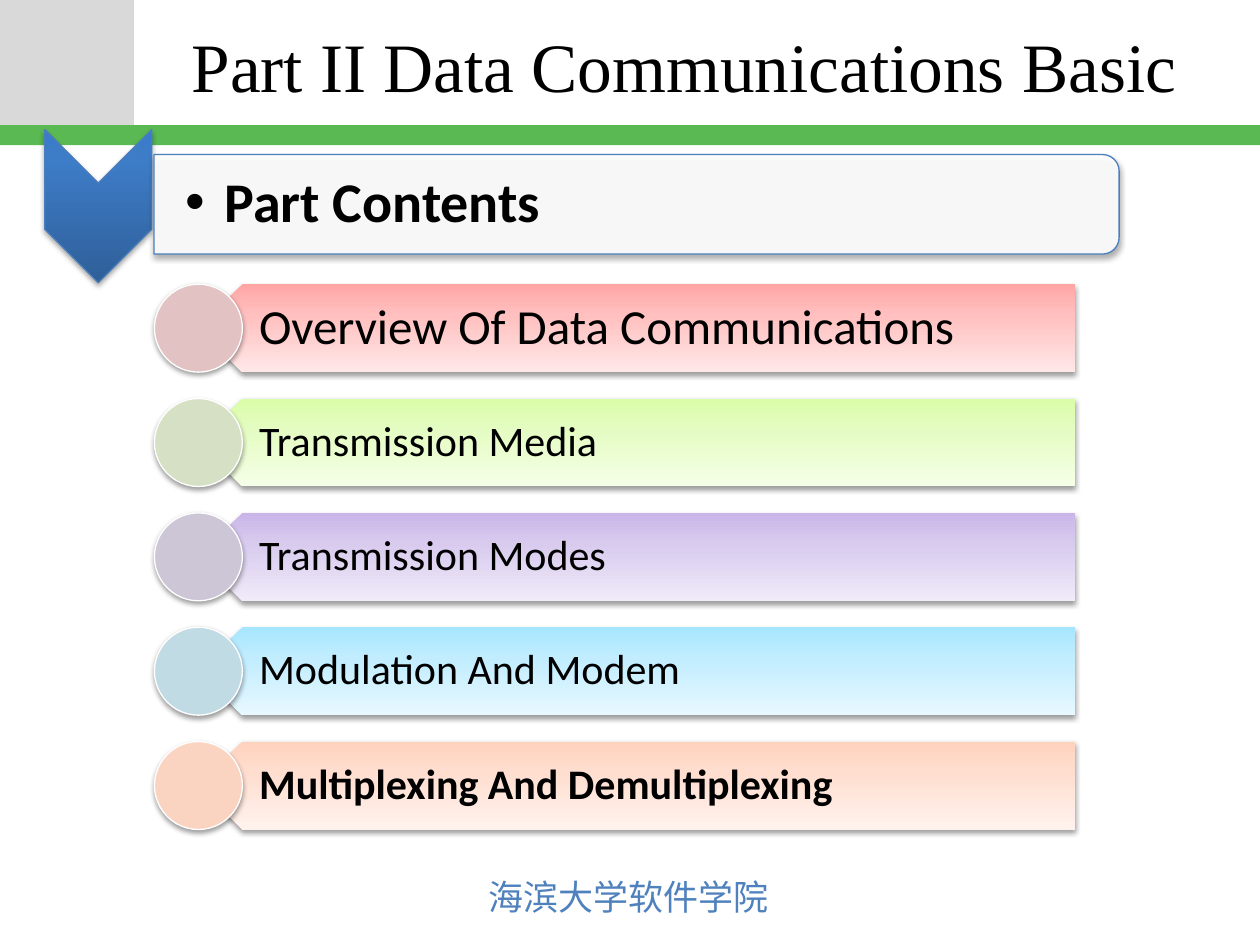
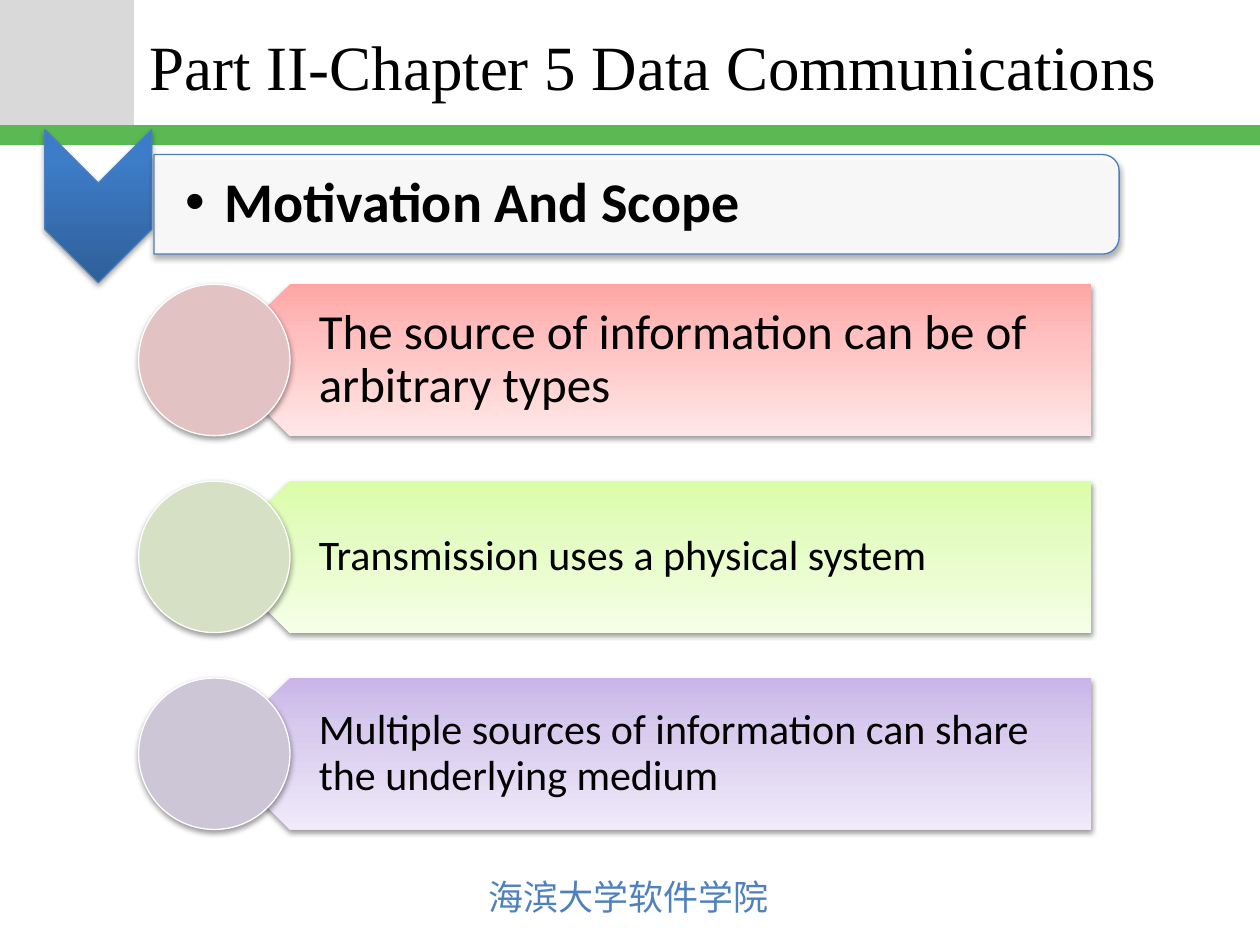
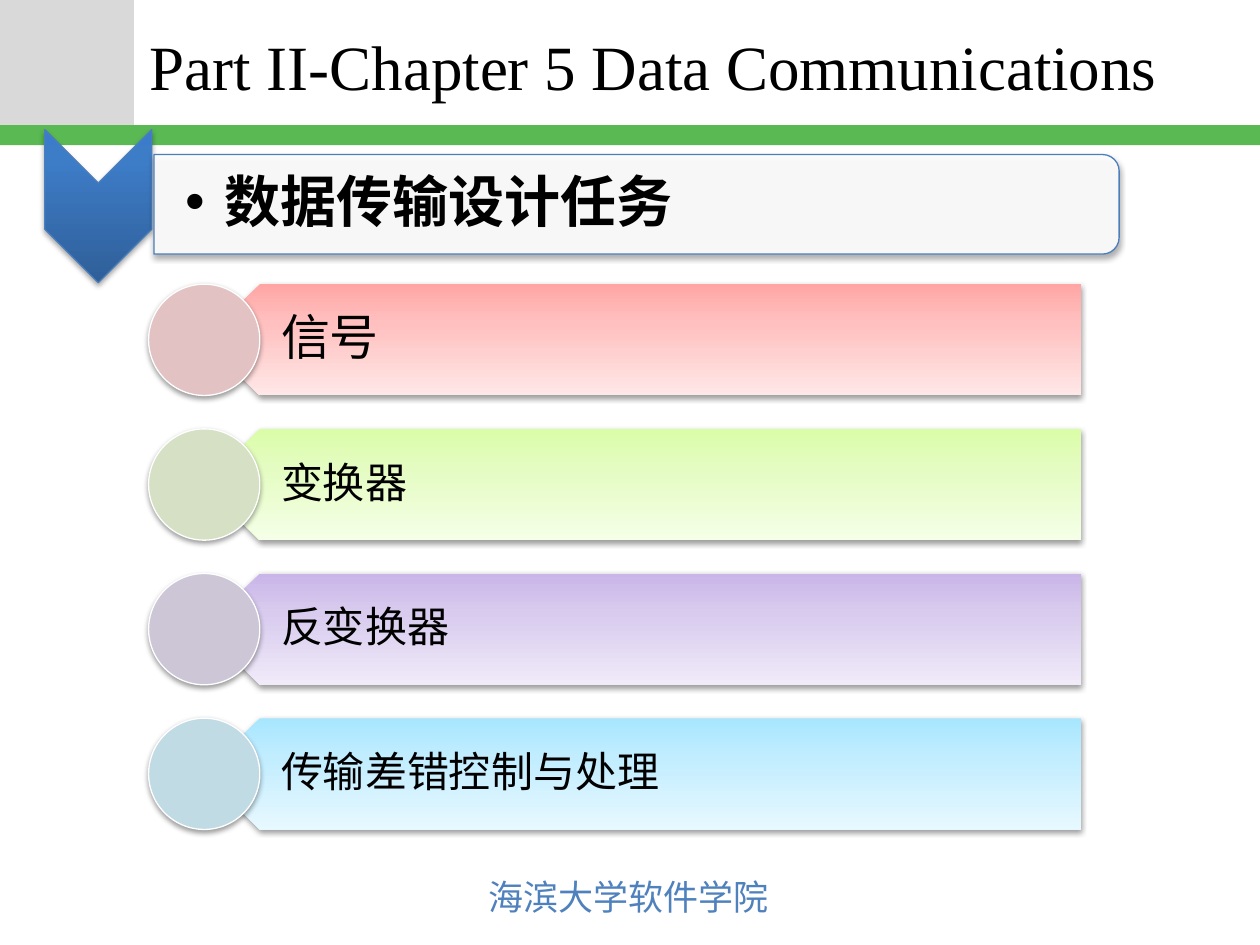
from typing import NamedTuple

from pptx import Presentation
from pptx.dml.color import RGBColor
from pptx.enum.shapes import MSO_SHAPE
from pptx.enum.text import MSO_ANCHOR, PP_ALIGN
from pptx.oxml import parse_xml
from pptx.oxml.ns import nsdecls, qn
from pptx.shapes.autoshape import Shape
from pptx.slide import Slide
from pptx.util import Pt

BLACK = RGBColor(0x00, 0x00, 0x00)
WHITE = RGBColor(0xFF, 0xFF, 0xFF)
GREY = RGBColor(0xD9, 0xD9, 0xD9)
GREEN = RGBColor(0x5A, 0xB9, 0x53)
BLUE = RGBColor(0x4F, 0x81, 0xBD)
EDGE = RGBColor(0x4B, 0x7E, 0xBC)

SERIF = "Times New Roman"
SANS = "Calibri"
ASIAN = "Noto Sans CJK JP"
FOOTER = "海滨大学软件学院"

TOP, BOTTOM, MIDDLE = 162.4, 474, 351.3
BAR, GAP = 501, 0.3


class Box(NamedTuple):
    """A frame in points."""
    left: float
    top: float
    width: float
    height: float


class Font(NamedTuple):
    """The look of a text."""
    name: str
    size: float
    color: RGBColor = BLACK
    bold: bool = False


class Stop(NamedTuple):
    """A gradient stop in percent."""
    place: int
    color: RGBColor


class Hue(NamedTuple):
    """The colours of one row."""
    disc: RGBColor
    dark: RGBColor
    mid: RGBColor
    light: RGBColor


class Row(NamedTuple):
    """One line of content."""
    text: str
    bold: bool = False


class Title(NamedTuple):
    """The heading of a slide."""
    text: str
    box: Box
    size: float
    align: PP_ALIGN


class Page(NamedTuple):
    """The content of a slide."""
    title: Title
    topic: str
    rows: list[Row]


HUES = [
    Hue(*map(RGBColor.from_string, codes.split()))
    for codes in (
        "E2C2C2 FFA6A5 FFC0BF FFE7E7",
        "D5E0C4 DAFDA7 E4FCC2 F5FFE7",
        "CDC6D7 C9B5E8 D8CBEE F0EAF9",
        "C1DBE5 A7E6FF C1EDFF E7F8FF",
        "FBD3C1 FFD2BD FFDED0 FFF2ED",
    )
]
ARROW = [
    Stop(0, RGBColor(0x2F, 0x5F, 0x99)),
    Stop(80, RGBColor(0x3D, 0x7C, 0xC7)),
    Stop(100, RGBColor(0x3A, 0x7C, 0xCB)),
]

PART = Title("Part II Data Communications Basic ",
             Box(86.4, 1.5, 619.2, 70.5), 39.6, PP_ALIGN.CENTER)
CHAPTER = Title("Part II-Chapter 5 Data Communications",
                Box(78.5, 2, 648, 70.5), 36, PP_ALIGN.LEFT)

PAGES = [
    Page(PART, "Part Contents", [
        Row("Overview Of Data Communications"),
        Row("Transmission Media"),
        Row("Transmission Modes"),
        Row("Modulation And Modem"),
        Row("Multiplexing And Demultiplexing", True),
    ]),
    Page(CHAPTER, "Motivation And Scope", [
        Row("The source of information can be of arbitrary types"),
        Row("Transmission uses a physical system"),
        Row("Multiple sources of information can share the underlying medium"),
    ]),
    Page(CHAPTER, "数据传输设计任务", [
        Row("信号"),
        Row("变换器"),
        Row("反变换器"),
        Row("传输差错控制与处理"),
    ]),
]


def add_form(slide: Slide, kind: MSO_SHAPE, box: Box, fill: RGBColor | None = None,
             line: RGBColor | None = None, turn: float = 0) -> Shape:
    """Add a preset shape without shadow."""
    shape = slide.shapes.add_shape(kind, *map(Pt, box))
    shape.rotation = turn
    shape.shadow.inherit = False
    if fill is not None:
        shape.fill.solid()
        shape.fill.fore_color.rgb = fill
    if line is None:
        shape.line.fill.background()
    else:
        shape.line.color.rgb = line
        shape.line.width = Pt(0.75)
    return shape


def add_shade(shape: Shape, alpha: int, drop: float) -> None:
    """Give a shape a soft shadow below it."""
    shape._element.spPr.find(qn("a:effectLst")).append(parse_xml(
        f'<a:outerShdw {nsdecls("a")} blurRad="{Pt(3.15)}" dist="{Pt(drop)}" '
        f'dir="5400000" rotWithShape="0"><a:srgbClr val="{BLACK}">'
        f'<a:alpha val="{alpha * 1000}"/></a:srgbClr></a:outerShdw>'))


def set_blend(shape: Shape, stops: list[Stop], spin: bool) -> None:
    """Fill a shape with an upward gradient."""
    shape.fill.gradient()
    marks = "".join(
        f'<a:gs pos="{stop.place * 1000}"><a:srgbClr val="{stop.color}"/></a:gs>'
        for stop in stops)
    props = shape._element.spPr
    props.replace(props.find(qn("a:gradFill")), parse_xml(
        f'<a:gradFill {nsdecls("a")} rotWithShape="{int(spin)}">'
        f'<a:gsLst>{marks}</a:gsLst><a:lin ang="16200000" scaled="0"/></a:gradFill>'))


def add_text(slide: Slide, text: str, box: Box, font: Font,
             inset: Box = Box(7.2, 3.6, 7.2, 3.6), wrap: bool = True) -> Shape:
    """Add a text box; the inset runs left, top, right, bottom."""
    shape = slide.shapes.add_textbox(*map(Pt, box))
    frame = shape.text_frame
    frame.word_wrap = wrap
    frame.vertical_anchor = MSO_ANCHOR.MIDDLE
    (frame.margin_left, frame.margin_top,
     frame.margin_right, frame.margin_bottom) = map(Pt, inset)
    frame.text = text
    run = frame.paragraphs[0].runs[0]
    run.font.name = font.name
    run.font.size = Pt(font.size)
    run.font.bold = font.bold
    run.font.color.rgb = font.color
    run._r.get_or_add_rPr().append(
        parse_xml(f'<a:ea {nsdecls("a")} typeface="{ASIAN}"/>'))
    return shape


def add_frame(slide: Slide, title: Title) -> None:
    """Draw the bands, the footer and the title."""
    add_form(slide, MSO_SHAPE.RECTANGLE, Box(0, 0, 76.5, 71.5), GREY)
    add_form(slide, MSO_SHAPE.RECTANGLE, Box(0, 71.5, 720, 11.5), GREEN)
    add_text(slide, FOOTER, Box(272, 496.8, 176.4, 31.5),
             Font(ASIAN, 20, BLUE), wrap=False)
    head = add_text(slide, title.text, title.box, Font(SERIF, title.size))
    head.text_frame.paragraphs[0].alignment = title.align


def add_topic(slide: Slide, text: str) -> None:
    """Draw the arrow and the panel with the topic."""
    arrow = add_form(slide, MSO_SHAPE.CHEVRON, Box(12.4, 87.2, 87.5, 61.2),
                     line=EDGE, turn=90)
    set_blend(arrow, ARROW, False)
    panel = add_form(slide, MSO_SHAPE.ROUND_2_SAME_RECTANGLE,
                     Box(335.3, -159, 56.9, 551.5), WHITE, EDGE, 90)
    panel._element.spPr.find(qn("a:solidFill"))[0].append(
        parse_xml(f'<a:alpha {nsdecls("a")} val="90000"/>'))
    for shape in (arrow, panel):
        add_shade(shape, 35, 1.81)
    label = add_text(slide, text, Box(87.8, 91.2, 549.4, 51.3),
                     Font(SANS, 32, bold=True), Box(18, 1.5, 1.5, 1.5))
    line = label.text_frame.paragraphs[0]
    line.line_spacing = 0.9
    props = line._p.get_or_add_pPr()
    props.set("marL", str(Pt(22.5)))
    props.set("indent", str(Pt(-22.5)))
    props.append(parse_xml(f'<a:buFont {nsdecls("a")} typeface="Arial"/>'))
    props.append(parse_xml(f'<a:buChar {nsdecls("a")} char="•"/>'))


def add_row(slide: Slide, row: Row, hue: Hue, top: float, side: float,
            size: float) -> None:
    """Draw a bar with its text and disc."""
    left = MIDDLE - (BAR + side / 2) / 2
    bar = add_form(slide, MSO_SHAPE.PENTAGON,
                   Box(left + side / 2, top, BAR, side), turn=180)
    set_blend(bar, [Stop(0, hue.dark), Stop(35, hue.mid), Stop(100, hue.light)], True)
    label = add_text(slide, row.text,
                     Box(left + side * 0.75, top, BAR - side / 4, side),
                     Font(SANS, size, bold=row.bold),
                     Box(side * 0.44, size * 0.3, size * 0.56, size * 0.3))
    label.text_frame.paragraphs[0].line_spacing = 0.9
    disc = add_form(slide, MSO_SHAPE.OVAL, Box(left, top, side, side), hue.disc, WHITE)
    for shape in (bar, disc):
        add_shade(shape, 38, 1.57)


def add_rows(slide: Slide, rows: list[Row]) -> None:
    """Spread the rows evenly over the body."""
    side = (BOTTOM - TOP) / (len(rows) + GAP * (len(rows) - 1))
    for i, (row, hue) in enumerate(zip(rows, HUES)):
        add_row(slide, row, hue, TOP + i * side * (1 + GAP), side, 24 if i else 28)


def main() -> None:
    """Build the deck."""
    deck = Presentation()
    deck.slide_width, deck.slide_height = Pt(720), Pt(540)
    for page in PAGES:
        slide = deck.slides.add_slide(deck.slide_layouts[6])
        add_frame(slide, page.title)
        add_topic(slide, page.topic)
        add_rows(slide, page.rows)
    deck.save("out.pptx")


if __name__ == "__main__":
    main()
